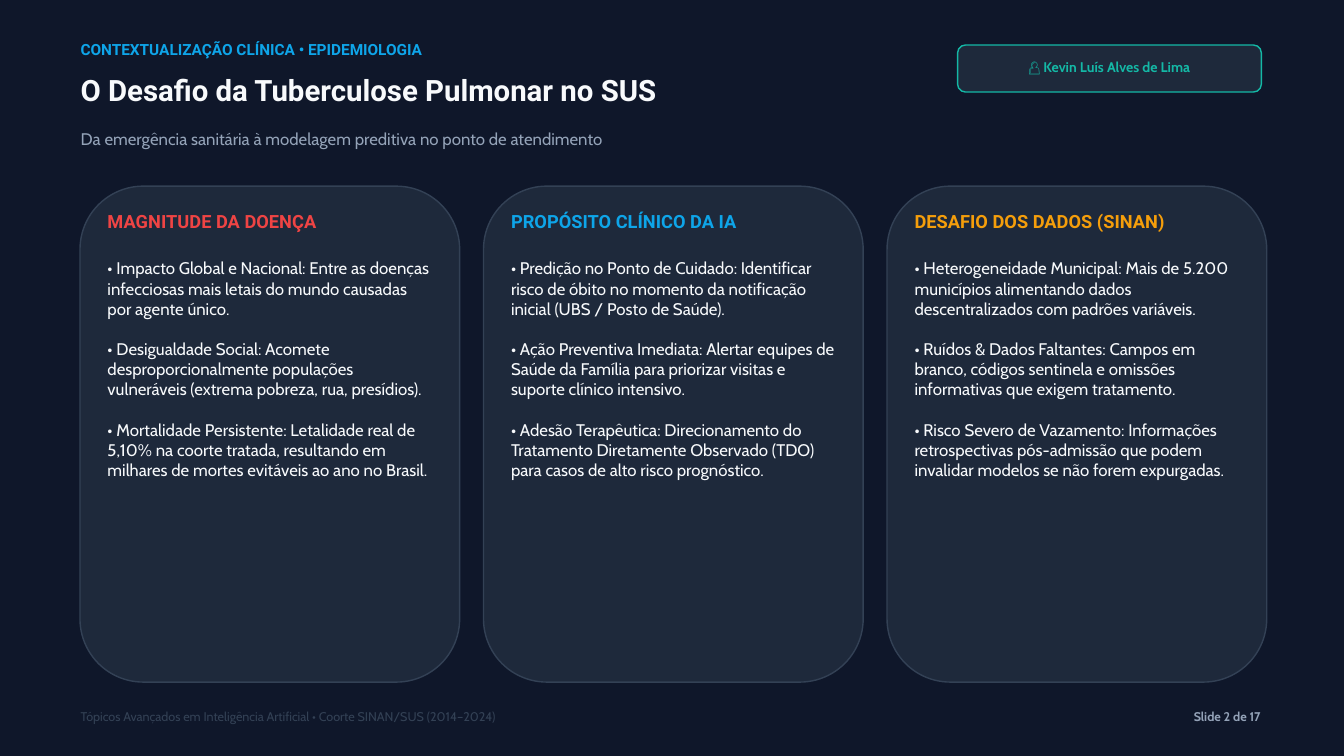
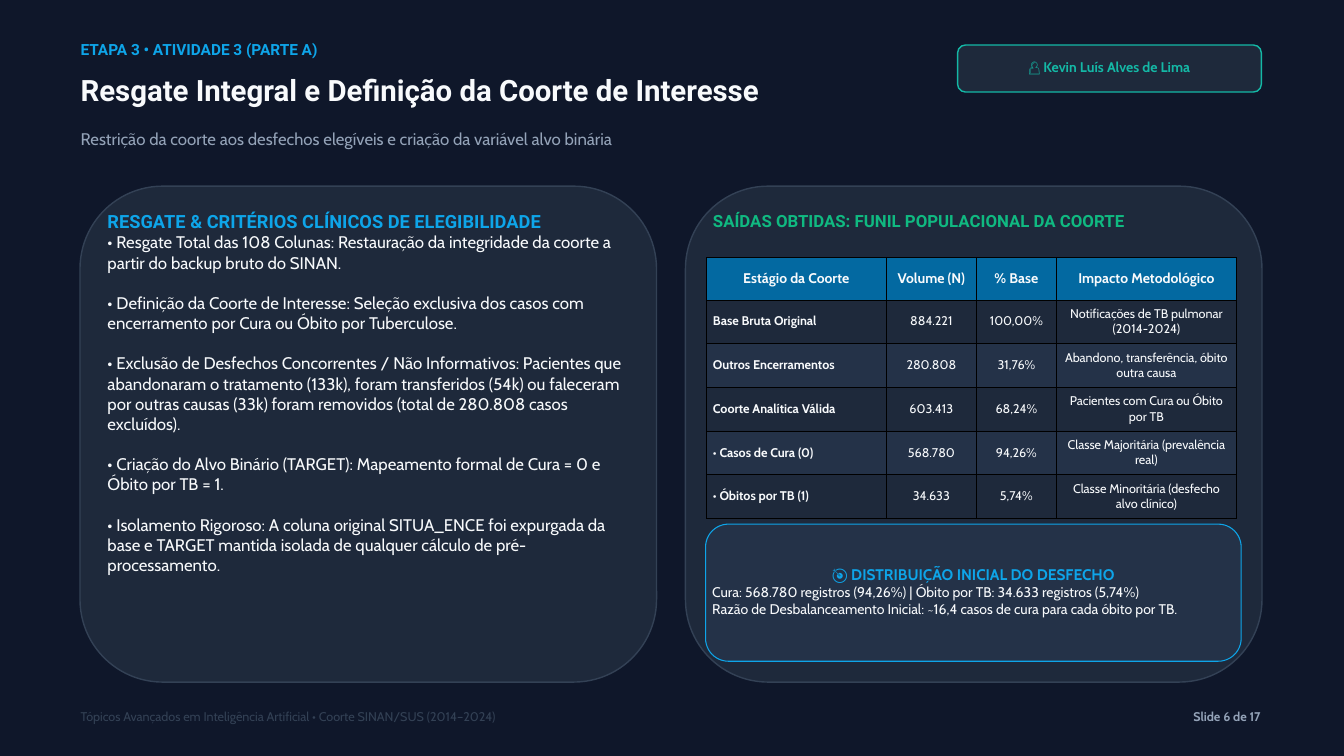
import pptx
import pptx.dml.color
import pptx.enum.shapes
import pptx.enum.text
import pptx.oxml
import pptx.oxml.ns
import pptx.util

Inches, Pt = pptx.util.Inches, pptx.util.Pt
RGBColor = pptx.dml.color.RGBColor
ALIGN = pptx.enum.text.PP_ALIGN
MIDDLE = pptx.enum.text.MSO_ANCHOR.MIDDLE
ROUNDED = pptx.enum.shapes.MSO_SHAPE.ROUNDED_RECTANGLE

NAVY = RGBColor(0x0F, 0x17, 0x2A)
CARD = RGBColor(0x1E, 0x29, 0x3B)
CARD_ALT = RGBColor(0x24, 0x32, 0x48)
SLATE = RGBColor(0x33, 0x41, 0x55)
GREY = RGBColor(0x94, 0xA3, 0xB8)
WHITE = RGBColor(0xF8, 0xFA, 0xFC)
SKY = RGBColor(0x0E, 0xA5, 0xE9)
HEADER_BLUE = RGBColor(0x03, 0x69, 0xA1)
TEAL = RGBColor(0x14, 0xB8, 0xA6)
RED = RGBColor(0xEF, 0x44, 0x44)
AMBER = RGBColor(0xF5, 0x9E, 0x0B)
GREEN = RGBColor(0x10, 0xB9, 0x81)

HEADING, BODY = "Roboto", "Cabin"
LEFT, CARD_TOP, CARD_HEIGHT = 1.2, 2.77, 7.38
BULLET_GAP = 21.6


def add_box(s, x, y, w, h, fill=None, line=None, width=1.5):
    """Add a text box, or a rounded panel when a fill is given; return its text frame."""
    at = Inches(x), Inches(y), Inches(w), Inches(h)
    if fill is None:
        sp = s.shapes.add_textbox(*at)
    else:
        sp = s.shapes.add_shape(ROUNDED, *at)
        sp.shadow.inherit = False
        sp.fill.solid()
        sp.fill.fore_color.rgb = fill
        sp.line.color.rgb = line
        sp.line.width = Pt(width)
    tf = sp.text_frame
    tf.word_wrap = True
    tf.margin_left = tf.margin_right = tf.margin_top = 0
    tf.margin_bottom = 0 if fill is None else Inches(0.04)
    if fill is not None:
        tf.vertical_anchor = MIDDLE
    return tf


def write(tf, text, size, color, font=BODY, bold=False, align=ALIGN.LEFT, before=0):
    """Fill the empty first paragraph of a frame, or append a new one."""
    p = tf.paragraphs[0] if not tf.text else tf.add_paragraph()
    p.alignment = align
    p.line_spacing = Pt(size * 1.2)
    if before:
        p.space_before = Pt(before)
    r = p.add_run()
    r.text = text
    r.font.size = Pt(size)
    r.font.name = font
    r.font.bold = bold
    r.font.color.rgb = color


prs = pptx.Presentation()
prs.slide_width, prs.slide_height = Inches(20), Inches(11.25)

# Shared frame: background, titles, author badge and footer
headers = [
    ("CONTEXTUALIZAÇÃO CLÍNICA • EPIDEMIOLOGIA",
     "O Desafio da Tuberculose Pulmonar no SUS",
     "Da emergência sanitária à modelagem preditiva no ponto de atendimento", 2),
    ("ETAPA 3 • ATIVIDADE 3 (PARTE A)",
     "Resgate Integral e Definição da Coorte de Interesse",
     "Restrição da coorte aos desfechos elegíveis e criação da variável alvo binária", 6),
]
for kicker, title, subtitle, number in headers:
    s = prs.slides.add_slide(prs.slide_layouts[6])
    s.background.fill.solid()
    s.background.fill.fore_color.rgb = NAVY
    write(add_box(s, LEFT, 0.6, 12.76, 0.48), kicker, 16.5, SKY, HEADING, True)
    write(add_box(s, LEFT, 1.08, 12.76, 0.83), title, 31.5, WHITE, HEADING, True)
    write(add_box(s, LEFT, 1.91, 12.76, 0.61), subtitle, 18, GREY)
    badge = add_box(s, 14.25, 0.67, 4.52, 0.7, CARD, TEAL)
    write(badge, "👤 Kevin Luís Alves de Lima", 15, TEAL, bold=True, align=ALIGN.CENTER)
    write(add_box(s, LEFT, 10.55, 12, 0.48),
          "Tópicos Avançados em Inteligência Artificial • Coorte SINAN/SUS (2014–2024)", 13.5, SLATE)
    write(add_box(s, 15.76, 10.55, 3, 0.25), f"Slide {number} de 17", 13.5, GREY,
          bold=True, align=ALIGN.RIGHT)

challenge, cohort = prs.slides

# Challenge slide: three cards
cards = [
    ("MAGNITUDE DA DOENÇA", RED, [
        "• Impacto Global e Nacional: Entre as doenças infecciosas mais letais do mundo causadas por agente único.",
        "• Desigualdade Social: Acomete desproporcionalmente populações vulneráveis (extrema pobreza, rua, presídios).",
        "• Mortalidade Persistente: Letalidade real de 5,10% na coorte tratada, resultando em milhares de mortes evitáveis ao ano no Brasil.",
    ]),
    ("PROPÓSITO CLÍNICO DA IA", SKY, [
        "• Predição no Ponto de Cuidado: Identificar risco de óbito no momento da notificação inicial (UBS / Posto de Saúde).",
        "• Ação Preventiva Imediata: Alertar equipes de Saúde da Família para priorizar visitas e suporte clínico intensivo.",
        "• Adesão Terapêutica: Direcionamento do Tratamento Diretamente Observado (TDO) para casos de alto risco prognóstico.",
    ]),
    ("DESAFIO DOS DADOS (SINAN)", AMBER, [
        "• Heterogeneidade Municipal: Mais de 5.200 municípios alimentando dados descentralizados com padrões variáveis.",
        "• Ruídos & Dados Faltantes: Campos em branco, códigos sentinela e omissões informativas que exigem tratamento.",
        "• Risco Severo de Vazamento: Informações retrospectivas pós-admissão que podem invalidar modelos se não forem expurgadas.",
    ]),
]
for i, (heading, color, bullets) in enumerate(cards):
    x = 1.19 + i * 6.005
    add_box(challenge, x, CARD_TOP, 5.65, CARD_HEIGHT, CARD, SLATE)
    write(add_box(challenge, x + 0.41, 3.13, 4.83, 0.5), heading, 19.5, color, HEADING, True)
    tf = add_box(challenge, x + 0.41, 3.84, 4.83, 3.25)
    for j, bullet in enumerate(bullets):
        write(tf, bullet, 18, WHITE, before=BULLET_GAP if j else 0)

# Cohort slide: eligibility criteria on the left
for x in (1.19, 10.2):
    add_box(cohort, x, CARD_TOP, 8.58, CARD_HEIGHT, CARD, SLATE)

criteria = [
    "• Resgate Total das 108 Colunas: Restauração da integridade da coorte a partir do backup bruto do SINAN.",
    "• Definição da Coorte de Interesse: Seleção exclusiva dos casos com encerramento por Cura ou Óbito por Tuberculose.",
    "• Exclusão de Desfechos Concorrentes / Não Informativos: Pacientes que abandonaram o tratamento (133k), foram transferidos (54k) ou faleceram por outras causas (33k) foram removidos (total de 280.808 casos excluídos).",
    "• Criação do Alvo Binário (TARGET): Mapeamento formal de Cura = 0 e Óbito por TB = 1.",
    "• Isolamento Rigoroso: A coluna original SITUA_ENCE foi expurgada da base e TARGET mantida isolada de qualquer cálculo de pré-processamento.",
]
tf = add_box(cohort, 1.6, 3.13, 7.84, 4.7)
write(tf, "RESGATE & CRITÉRIOS CLÍNICOS DE ELEGIBILIDADE", 19.5, SKY, HEADING, True)
for j, criterion in enumerate(criteria):
    write(tf, criterion, 18, WHITE, before=BULLET_GAP if j else 0)

# Cohort slide: population funnel on the right
write(add_box(cohort, 10.61, 3.13, 7.76, 0.5),
      "SAÍDAS OBTIDAS: FUNIL POPULACIONAL DA COORTE", 18, GREEN, HEADING, True)

funnel = [
    ("Estágio da Coorte", "Volume (N)", "% Base", "Impacto Metodológico"),
    ("Base Bruta Original", "884.221", "100,00%", "Notificações de TB pulmonar (2014-2024)"),
    ("Outros Encerramentos", "280.808", "31,76%", "Abandono, transferência, óbito outra causa"),
    ("Coorte Analítica Válida", "603.413", "68,24%", "Pacientes com Cura ou Óbito por TB"),
    ("• Casos de Cura (0)", "568.780", "94,26%", "Classe Majoritária (prevalência real)"),
    ("• Óbitos por TB (1)", "34.633", "5,74%", "Classe Minoritária (desfecho alvo clínico)"),
]
table = cohort.shapes.add_table(len(funnel), 4, Inches(10.51), Inches(3.83),
                                Inches(7.9), Inches(3.75)).table
table.horz_banding = False
for column, width in zip(table.columns, (2.68, 1.34, 1.19, 2.68)):
    column.width = Inches(width)

for i, values in enumerate(funnel):
    table.rows[i].height = Inches(0.63)
    row_fill = HEADER_BLUE if i == 0 else CARD if i % 2 else CARD_ALT
    for j, value in enumerate(values):
        cell = table.cell(i, j)
        cell.fill.solid()
        cell.fill.fore_color.rgb = row_fill
        cell.vertical_anchor = MIDDLE
        cell.margin_left = cell.margin_right = Inches(0.1)
        cell.margin_top = cell.margin_bottom = Inches(0.1)
        write(cell.text_frame, value, 13.5 if i else 15, WHITE, bold=i == 0 or j == 0,
              align=ALIGN.LEFT if i and j == 0 else ALIGN.CENTER)
        tcPr = cell._tc.get_or_add_tcPr()
        for k, side in enumerate(("lnL", "lnR", "lnT", "lnB")):
            tcPr.insert(k, pptx.oxml.parse_xml(
                f'<a:{side} {pptx.oxml.ns.nsdecls("a")} w="{Pt(0.37)}"><a:solidFill>'
                f'<a:srgbClr val="000000"/></a:solidFill></a:{side}>'))

# Cohort slide: outcome distribution
tf = add_box(cohort, 10.5, 7.8, 7.97, 2.04, CARD_ALT, SKY, 1.13)
write(tf, "🎯 DISTRIBUIÇÃO INICIAL DO DESFECHO", 16.5, SKY, bold=True, align=ALIGN.CENTER)
write(tf, "Cura: 568.780 registros (94,26%) | Óbito por TB: 34.633 registros (5,74%)", 15, WHITE)
write(tf, "Razão de Desbalanceamento Inicial: ~16,4 casos de cura para cada óbito por TB.", 15, WHITE)

prs.save("out.pptx")
